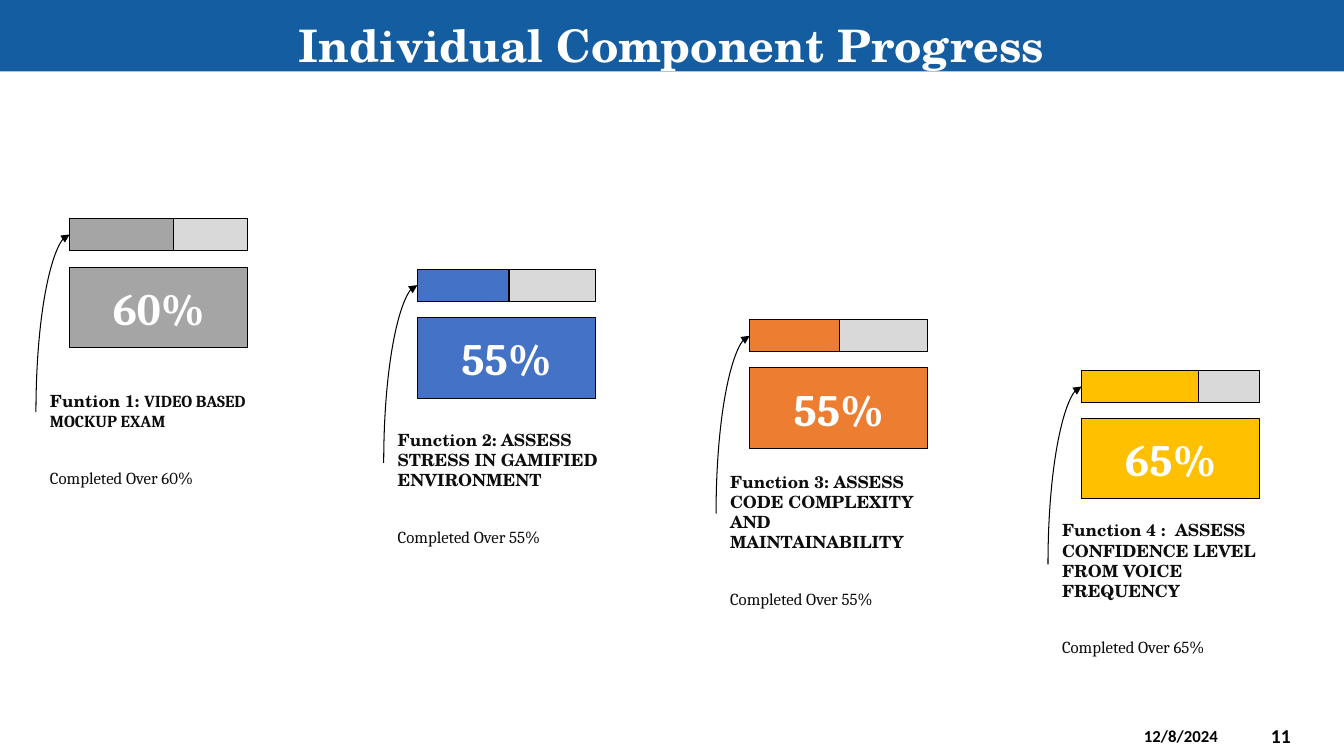
import pptx
import pptx.util
import pptx.dml.color
import pptx.enum.shapes
import pptx.enum.text
import pptx.oxml.ns
import lxml.etree

Pt = pptx.util.Pt
Align = pptx.enum.text.PP_ALIGN
Anchor = pptx.enum.text.MSO_ANCHOR

COLORS = {
    "header": "145DA0", "white": "FFFFFF", "black": "000000", "text": "0D0D0D",
    "track": "D9D9D9", "gray": "A5A5A5", "blue": "4472C4",
    "orange": "ED7D31", "gold": "FFC000",
}
SERIF, SCHOLA, SANS = "Cambria", "TeX Gyre Schola", "Calibri"

TITLE = "Individual Component Progress"
DATE = "12/8/2024"
PAGE = "11"

# heading runs, percent, color, card left, filled width, label top, label height
FUNCTIONS = [
    ([("Funtion 1: ", SCHOLA), ("VIDEO BASED MOCKUP EXAM", SERIF)],
     "60%", "gray", 49.7, 74.2, 278.6, 70.6),
    ([("Function 2: ASSESS STRESS IN GAMIFIED ENVIRONMENT", SCHOLA)],
     "55%", "blue", 298.1, 65.5, 306, 85),
    ([("Function 3: ASSESS CODE COMPLEXITY AND MAINTAINABILITY", SCHOLA)],
     "55%", "orange", 535.5, 64, 336.2, 99.4),
    ([("Function 4 :  ASSESS CONFIDENCE LEVEL FROM VOICE FREQUENCY", SCHOLA)],
     "65%", "gold", 772.6, 83.5, 370.8, 99.4),
]

SLIDE_WIDTH, SLIDE_HEIGHT = 960, 540
CARD_WIDTH, CARD_HEIGHT, CARD_TOP, CARD_STEP = 127.4, 57.6, 190.8, 36
BAR_HEIGHT, BAR_TOP, BAR_STEP = 23, 156, 36.2
ARROW_WIDTH, ARROW_HEIGHT = 24, 127
LABEL_WIDTH, LABEL_OUTDENT = 156.2, 14
LABEL_GAP = 26


def rgb(name):
    return pptx.dml.color.RGBColor.from_string(COLORS[name])


def add_run(paragraph, text, font, size, color, bold=True):
    run = paragraph.add_run()
    run.text = text
    run.font.name = font
    run.font.size = Pt(size)
    run.font.bold = bold
    run.font.color.rgb = rgb(color)


def add_text_box(slide, left, top, width, height, anchor=Anchor.TOP):
    frame = slide.shapes.add_textbox(Pt(left), Pt(top), Pt(width), Pt(height)).text_frame
    frame.word_wrap = True
    frame.vertical_anchor = anchor
    return frame


def add_rectangle(slide, left, top, width, height, fill, outlined=True):
    shape = slide.shapes.add_shape(
        pptx.enum.shapes.MSO_SHAPE.RECTANGLE, Pt(left), Pt(top), Pt(width), Pt(height))
    shape.shadow.inherit = False
    shape.fill.solid()
    shape.fill.fore_color.rgb = rgb(fill)
    if outlined:
        shape.line.color.rgb = rgb("black")
        shape.line.width = Pt(0.75)
    else:
        shape.line.fill.background()
    return shape


def add_curved_arrow(slide, tip_x, tip_y):
    """Draw a quarter curve from the bar down to the label, arrowhead at the bar."""
    connector = slide.shapes.add_connector(
        pptx.enum.shapes.MSO_CONNECTOR.CURVE, Pt(tip_x), Pt(tip_y),
        Pt(tip_x - ARROW_WIDTH), Pt(tip_y + ARROW_HEIGHT))
    connector.line.color.rgb = rgb("black")
    connector.line.width = Pt(0.75)
    qn = pptx.oxml.ns.qn
    properties = connector._element.spPr
    properties.find(qn("a:prstGeom")).set("prst", "curvedConnector2")
    line = properties.find(qn("a:ln"))
    lxml.etree.SubElement(line, qn("a:headEnd")).set("type", "triangle")
    lxml.etree.SubElement(properties, qn("a:effectLst"))


def add_function(slide, index, heading, percent, color, left, filled, label_top, label_height):
    bar_top = BAR_TOP + index * BAR_STEP
    add_rectangle(slide, left, bar_top, CARD_WIDTH, BAR_HEIGHT, "track")
    add_rectangle(slide, left, bar_top, filled, BAR_HEIGHT, color)
    add_curved_arrow(slide, left, bar_top + BAR_HEIGHT / 2)

    card = add_rectangle(
        slide, left, CARD_TOP + index * CARD_STEP, CARD_WIDTH, CARD_HEIGHT, color)
    card.text_frame.vertical_anchor = Anchor.MIDDLE
    paragraph = card.text_frame.paragraphs[0]
    paragraph.alignment = Align.CENTER
    add_run(paragraph, percent, SERIF, 32, "white")

    label = add_text_box(
        slide, left - LABEL_OUTDENT, label_top, LABEL_WIDTH, label_height, Anchor.MIDDLE)
    label.margin_left = label.margin_right = label.margin_top = label.margin_bottom = 0
    for text, font in heading:
        add_run(label.paragraphs[0], text, font, 12, "text")
    status = label.add_paragraph()
    status.space_before = Pt(LABEL_GAP)
    add_run(status, "Completed Over " + percent, SERIF, 12, "text", bold=False)


def main():
    presentation = pptx.Presentation()
    presentation.slide_width = Pt(SLIDE_WIDTH)
    presentation.slide_height = Pt(SLIDE_HEIGHT)
    slide = presentation.slides.add_slide(presentation.slide_layouts[6])

    add_rectangle(slide, 0, 0, SLIDE_WIDTH, 51, "header", outlined=False)
    title = add_text_box(slide, 0, 9.4, SLIDE_WIDTH, 46).paragraphs[0]
    title.alignment = Align.CENTER
    add_run(title, TITLE, SCHOLA, 32, "white")

    for index, function in enumerate(FUNCTIONS):
        add_function(slide, index, *function)

    date = add_text_box(slide, 810, 514.8, 84.2, 21.6)
    add_run(date.paragraphs[0], DATE, SANS, 12, "black")
    page = add_text_box(slide, 900.7, 511.2, 53.3, 28.8, Anchor.MIDDLE)
    add_run(page.paragraphs[0], PAGE, SANS, 14, "black")

    presentation.save("out.pptx")


if __name__ == "__main__":
    main()
